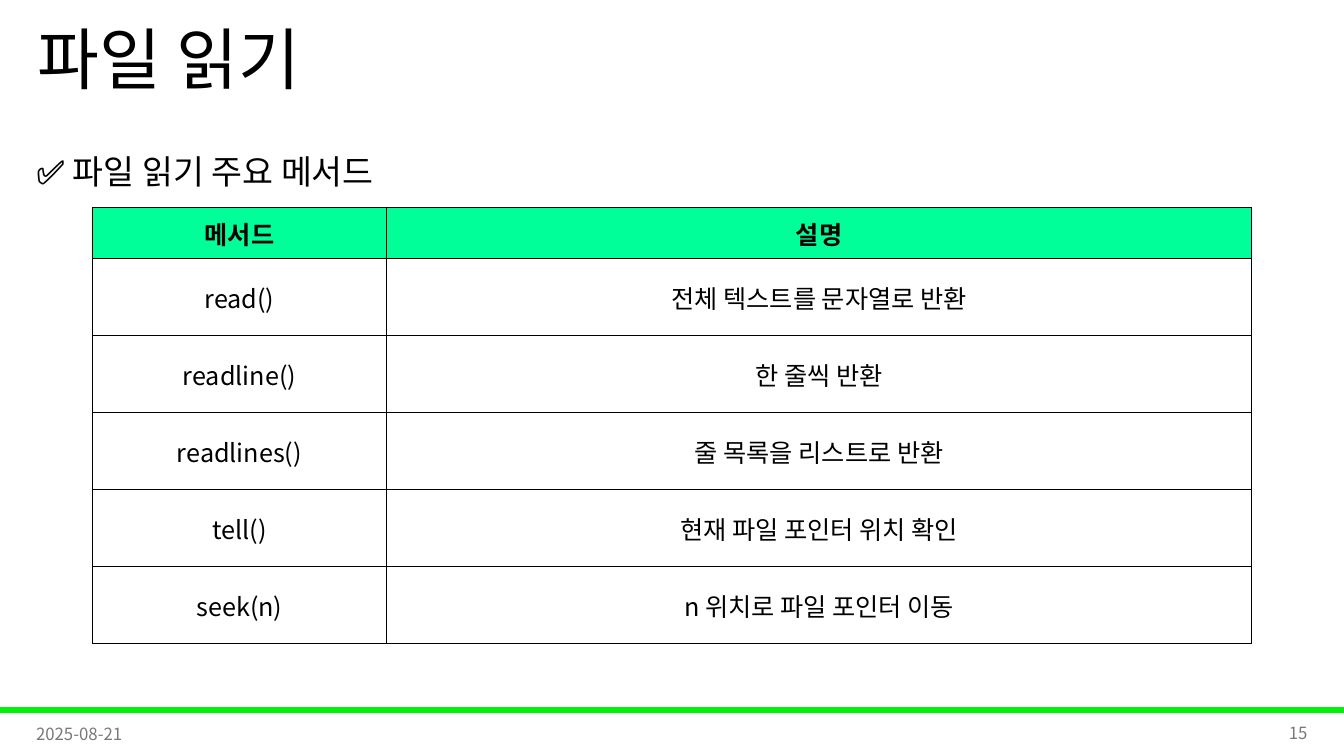
from lxml import etree
from pptx import Presentation
from pptx import util as u
from pptx.dml.color import RGBColor
from pptx.enum import shapes, text
from pptx.oxml import ns

THEME = {
    "font": "Noto Sans CJK KR",
    "ink": "000000", "muted": "797979", "bar": "00F209", "header": "00FF99",
    "title": 48, "heading": 24, "table": 18, "footer": 12, "border": 0.5,
}
LEFT, CENTER, RIGHT = text.PP_ALIGN.LEFT, text.PP_ALIGN.CENTER, text.PP_ALIGN.RIGHT
MIDDLE, TOP = text.MSO_ANCHOR.MIDDLE, text.MSO_ANCHOR.TOP

LABELS = [
    ("파일 읽기", (20, 0, 828, 90), "title", "ink", LEFT, MIDDLE, 0.9),
    ("2025-08-21", (18.7, 509.8, 216, 28.8), "footer", "muted", LEFT, MIDDLE, 1),
    ("15", (725, 509, 216, 28.8), "footer", "muted", RIGHT, MIDDLE, 1),
    ("✅ 파일 읽기 주요 메서드", (18.7, 90, 482, 46), "heading", "ink", LEFT, TOP, 1.5),
]
METHODS = [
    ("메서드", "설명"),
    ("read()", "전체 텍스트를 문자열로 반환"),
    ("readline()", "한 줄씩 반환"),
    ("readlines()", "줄 목록을 리스트로 반환"),
    ("tell()", "현재 파일 포인터 위치 확인"),
    ("seek(n)", "n 위치로 파일 포인터 이동"),
]
BAR = (0, 505.4, 960, 3.6)
TABLE_LEFT, TABLE_TOP = 66.2, 147.9
COLUMN_WIDTHS = (209.8, 618.2)
HEADER_HEIGHT, ROW_HEIGHT = 36.7, 55
CELL_INSET = 0.7


def color(name):
    return RGBColor.from_string(THEME[name])


def points(values):
    return [u.Pt(value) for value in values]


def write(frame, words, size, ink, align, bold=False, spacing=1):
    para = frame.paragraphs[0]
    para.text = words
    para.alignment = align
    para.line_spacing = spacing
    font = para.font
    font.size = u.Pt(THEME[size])
    font.bold = bold
    font.color.rgb = color(ink)
    font.name = THEME["font"]
    properties = para._p.pPr.find(ns.qn("a:defRPr"))
    etree.SubElement(properties, ns.qn("a:ea"), typeface=THEME["font"])


def add_label(page, words, area, size, ink, align, anchor, spacing):
    frame = page.shapes.add_textbox(*points(area)).text_frame
    frame.word_wrap = True
    frame.vertical_anchor = anchor
    write(frame, words, size, ink, align, spacing=spacing)


def style_cell(cell, is_header):
    cell.margin_left = cell.margin_top = cell.margin_right = u.Pt(CELL_INSET)
    cell.margin_bottom = 0
    cell.vertical_anchor = MIDDLE
    properties = cell._tc.get_or_add_tcPr()
    for side in ("a:lnL", "a:lnR", "a:lnT", "a:lnB"):
        line = etree.SubElement(properties, ns.qn(side), w=str(u.Pt(THEME["border"])))
        fill = etree.SubElement(line, ns.qn("a:solidFill"))
        etree.SubElement(fill, ns.qn("a:srgbClr"), val=THEME["ink"])
    if is_header:
        cell.fill.solid()
        cell.fill.fore_color.rgb = color("header")
    else:
        cell.fill.background()


def add_methods(page):
    heights = [HEADER_HEIGHT] + [ROW_HEIGHT] * (len(METHODS) - 1)
    area = points((TABLE_LEFT, TABLE_TOP, sum(COLUMN_WIDTHS), sum(heights)))
    table = page.shapes.add_table(len(METHODS), len(COLUMN_WIDTHS), *area).table
    for column, width in zip(table.columns, COLUMN_WIDTHS):
        column.width = u.Pt(width)
    for index, (row, height) in enumerate(zip(table.rows, heights)):
        row.height = u.Pt(height)
        is_header = index == 0
        for cell, words in zip(row.cells, METHODS[index]):
            style_cell(cell, is_header)
            write(cell.text_frame, words, "table", "ink", CENTER, is_header)


def main():
    deck = Presentation()
    deck.slide_width, deck.slide_height = points((960, 540))
    page = deck.slides.add_slide(deck.slide_layouts[6])
    bar = page.shapes.add_shape(shapes.MSO_SHAPE.RECTANGLE, *points(BAR))
    bar.shadow.inherit = False
    bar.fill.solid()
    bar.fill.fore_color.rgb = bar.line.color.rgb = color("bar")
    bar.line.width = u.Pt(1)
    for label in LABELS:
        add_label(page, *label)
    add_methods(page)
    deck.save("out.pptx")


if __name__ == "__main__":
    main()
